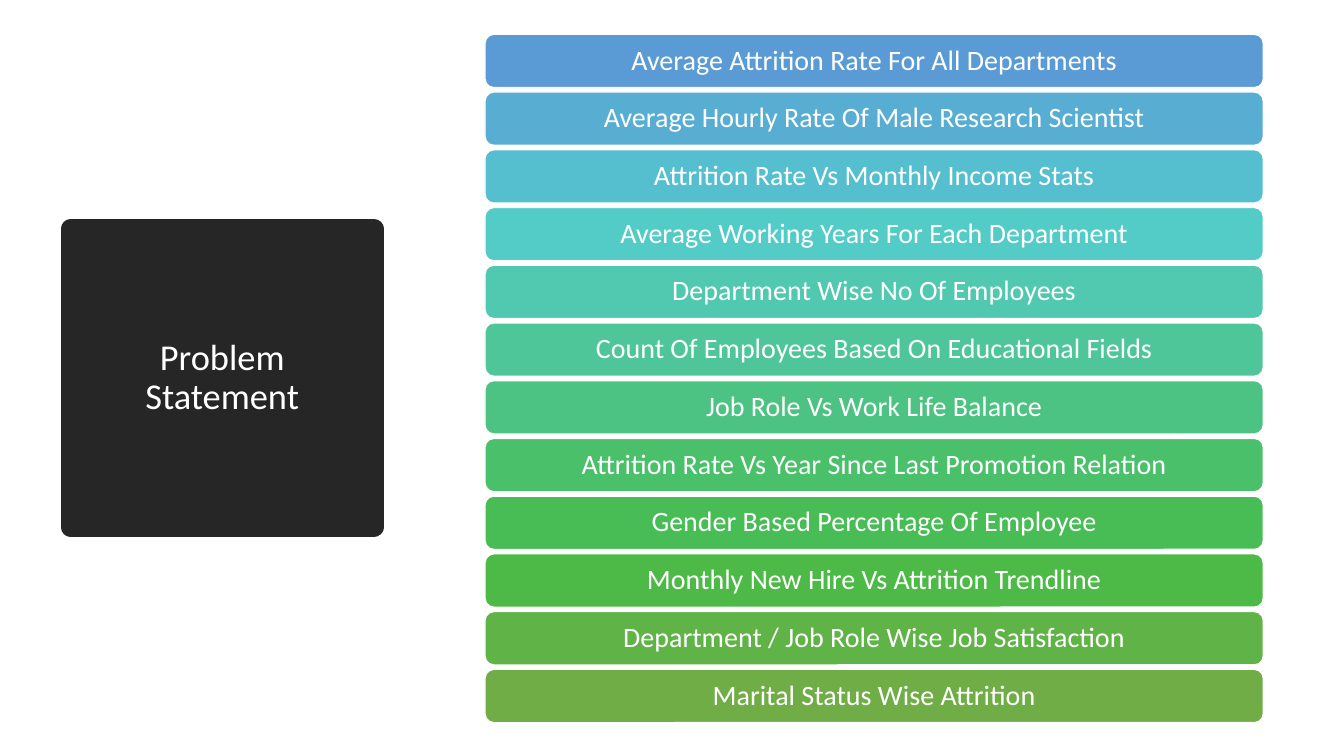
from pptx import Presentation
from pptx.dml.color import RGBColor
from pptx.enum.shapes import MSO_SHAPE
from pptx.enum.text import MSO_ANCHOR, MSO_AUTO_SIZE, PP_ALIGN
from pptx.oxml import parse_xml
from pptx.oxml.ns import nsdecls
from pptx.util import Emu, Pt

PX = 9144  # 100 px to the inch
FONT = "Calibri"
ROUNDED = MSO_SHAPE.ROUNDED_RECTANGLE
MIDDLE = MSO_ANCHOR.MIDDLE
CENTER = PP_ALIGN.CENTER
NO_AUTOFIT = MSO_AUTO_SIZE.NONE

WHITE = RGBColor(0xFF, 0xFF, 0xFF)
CHARCOAL = RGBColor(0x26, 0x26, 0x26)

TOPICS = [
    ("Average Attrition Rate For All Departments", RGBColor(0x5B, 0x9B, 0xD5)),
    ("Average Hourly Rate Of Male Research Scientist", RGBColor(0x58, 0xAD, 0xD2)),
    ("Attrition Rate Vs Monthly Income Stats", RGBColor(0x56, 0xBF, 0xCF)),
    ("Average Working Years For Each Department", RGBColor(0x53, 0xCC, 0xC8)),
    ("Department Wise No Of Employees", RGBColor(0x51, 0xC9, 0xB0)),
    ("Count Of Employees Based On Educational Fields", RGBColor(0x4F, 0xC6, 0x99)),
    ("Job Role Vs Work Life Balance", RGBColor(0x4C, 0xC3, 0x82)),
    ("Attrition Rate Vs Year Since Last Promotion Relation", RGBColor(0x4A, 0xC0, 0x6B)),
    ("Gender Based Percentage Of Employee", RGBColor(0x48, 0xBC, 0x55)),
    ("Monthly New Hire Vs Attrition Trendline", RGBColor(0x4D, 0xB9, 0x46)),
    ("Department / Job Role Wise Job Satisfaction", RGBColor(0x60, 0xB3, 0x47)),
    ("Marital Status Wise Attrition", RGBColor(0x70, 0xAD, 0x47)),
]


def px(n):
    return Emu(round(n * PX))


def paint(sp, fill, line, weight):
    sp.fill.solid()
    sp.fill.fore_color.rgb = fill
    sp.line.color.rgb = line
    sp.line.width = Pt(weight)


def write(sp, text, size, inset):
    """Set one centred white line of text in the middle of a shape."""
    tf = sp.text_frame
    tf.word_wrap = True
    tf.auto_size = NO_AUTOFIT
    tf.vertical_anchor = MIDDLE
    tf.margin_left = tf.margin_right = px(inset)
    tf.margin_top = tf.margin_bottom = px(5)
    p = tf.paragraphs[0]
    p.alignment = CENTER
    p.line_spacing = 0.9
    r = p.add_run()
    r.text = text
    r.font.name = FONT
    r.font.size = Pt(size)
    r.font.color.rgb = WHITE


def add_title(slide, left, top, width, height):
    sp = slide.shapes.title
    sp.left, sp.top, sp.width, sp.height = map(px, (left, top, width, height))
    sp.element.spPr.append(parse_xml(
        f'<a:prstGeom {nsdecls("a")} prst="ellipse"><a:avLst/></a:prstGeom>'))
    paint(sp, CHARCOAL, CHARCOAL, 13.75)
    write(sp, "Problem Statement", 26, 20)


def add_topics(slide, left, top, width, height, bar_height=53):
    """Stack the topic bars evenly from the top to the bottom of the box."""
    pitch = (height - bar_height) / (len(TOPICS) - 1)
    for i, (text, color) in enumerate(TOPICS):
        sp = slide.shapes.add_shape(
            ROUNDED, px(left), px(top + i * pitch), px(width), px(bar_height))
        sp.shadow.inherit = False
        paint(sp, color, WHITE, 1)
        write(sp, text, 20, 11)


def main():
    prs = Presentation()
    prs.slide_width, prs.slide_height = px(1333), px(750)
    title_only = prs.slide_layouts[5]
    slide = prs.slides.add_slide(title_only)
    add_title(slide, 70, 227, 301, 296)
    add_topics(slide, 481, 34, 772, 683)
    prs.save("out.pptx")


if __name__ == "__main__":
    main()
